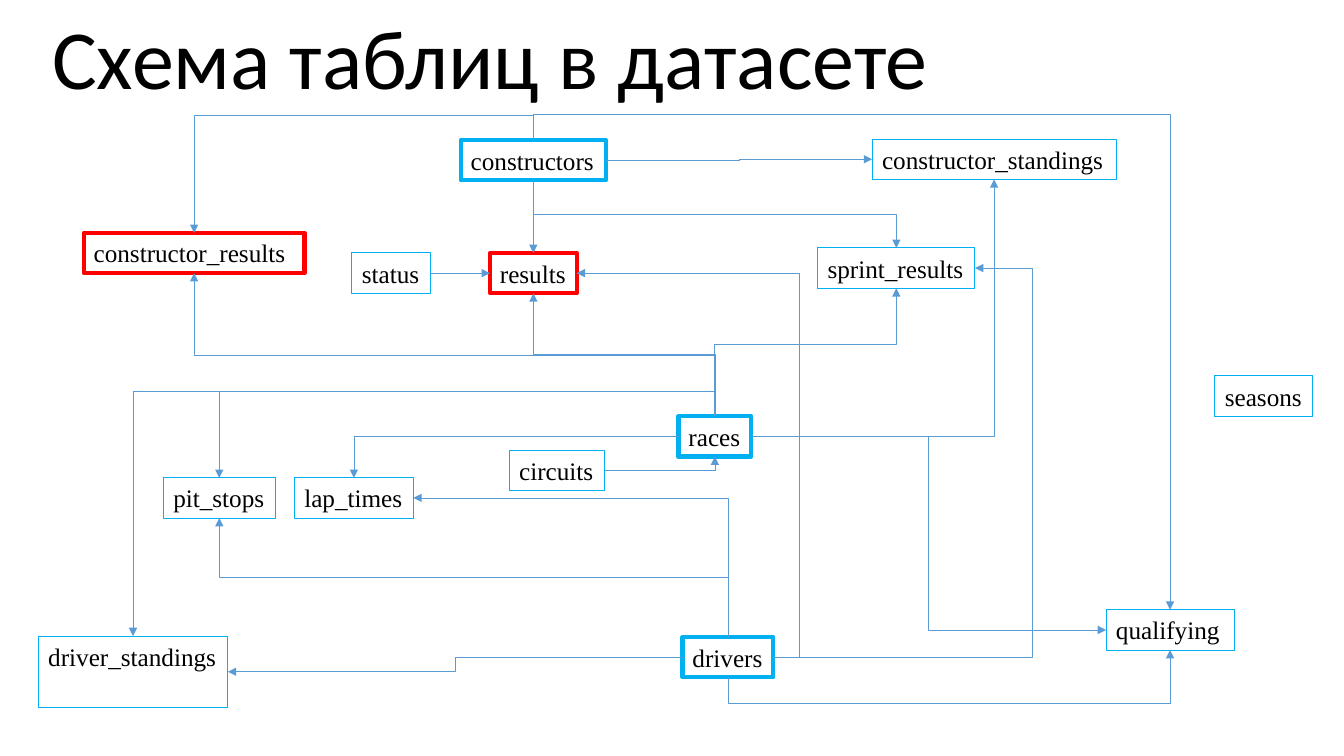
import pptx
import pptx.dml.color
import pptx.enum.shapes
import pptx.enum.text
import pptx.util
from pptx.util import Inches

COLORS = {"text": "000000", "arrow": "5B9BD5", "blue": "00B0F0", "red": "FF0000"}
TOP, LEFT, BOTTOM, RIGHT = range(4)

# Direction in which an arrow leaves each side, and the matching rotation
EXITS = {RIGHT: (1, 0, 0), BOTTOM: (0, 1, 90), LEFT: (-1, 0, 180), TOP: (0, -1, 270)}

# Table name: left, top, width, height, border colour, border width
TABLES = {
    "constructor_results": (0.83, 2.31, 2.19, 0.4, "red", 3),
    "constructor_standings": (8.65, 1.38, 2.42, 0.4, "blue", 0.75),
    "constructors": (4.57, 1.39, 1.44, 0.4, "blue", 3),
    "driver_standings": (0.38, 6.31, 1.88, 0.71, "blue", 0.75),
    "lap_times": (2.92, 4.74, 1.18, 0.4, "blue", 0.75),
    "pit_stops": (1.62, 4.74, 1.11, 0.4, "blue", 0.75),
    "qualifying": (10.97, 6.05, 1.27, 0.4, "blue", 0.75),
    "races": (6.73, 4.13, 0.72, 0.4, "blue", 3),
    "results": (4.86, 2.51, 0.86, 0.4, "red", 3),
    "seasons": (12.05, 3.73, 0.97, 0.4, "blue", 0.75),
    "status": (3.49, 2.51, 0.78, 0.4, "blue", 0.75),
    "sprint_results": (8.11, 2.46, 1.56, 0.4, "blue", 0.75),
    "circuits": (5.05, 4.47, 0.95, 0.4, "blue", 0.75),
    "drivers": (6.77, 6.32, 0.9, 0.4, "blue", 3),
}

# Arrows with one corner: from table, side, to table, side
CORNER_LINKS = [
    ("races", RIGHT, "constructor_standings", BOTTOM),
    ("races", LEFT, "lap_times", TOP),
    ("drivers", TOP, "lap_times", RIGHT),
    ("circuits", RIGHT, "races", BOTTOM),
]

# Arrows with two corners: the same, then the coordinate of the middle stretch
STEP_LINKS = [
    ("races", TOP, "constructor_results", BOTTOM, 3.53),
    ("constructors", TOP, "constructor_results", TOP, 1.14),
    ("constructors", RIGHT, "constructor_standings", LEFT, 7.33),
    ("races", TOP, "driver_standings", TOP, 3.88),
    ("drivers", LEFT, "driver_standings", RIGHT, 4.52),
    ("races", TOP, "pit_stops", TOP, 3.88),
    ("drivers", TOP, "pit_stops", BOTTOM, 5.73),
    ("constructors", TOP, "qualifying", TOP, 1.14),
    ("races", RIGHT, "qualifying", LEFT, 9.21),
    ("drivers", BOTTOM, "qualifying", BOTTOM, 6.98),
    ("drivers", RIGHT, "results", RIGHT, 7.93),
    ("races", TOP, "results", BOTTOM, 3.52),
    ("drivers", RIGHT, "sprint_results", RIGHT, 10.24),
    ("constructors", BOTTOM, "sprint_results", TOP, 2.13),
    ("races", TOP, "sprint_results", BOTTOM, 3.42),
]

STRAIGHT_LINKS = [
    ("constructors", BOTTOM, "results", TOP),
    ("status", RIGHT, "results", LEFT),
]


def rgb(name):
    return pptx.dml.color.RGBColor.from_string(COLORS[name])


def style_text(paragraph, text, font_name, size):
    paragraph.text = text
    paragraph.font.name = font_name
    paragraph.font.size = pptx.util.Pt(size)
    paragraph.font.color.rgb = rgb("text")


def add_title(slide, text):
    title = slide.shapes.add_textbox(Inches(-0.89), Inches(-0.33), Inches(11.5), Inches(1.45))
    frame = title.text_frame
    frame.word_wrap = True
    frame.vertical_anchor = pptx.enum.text.MSO_ANCHOR.BOTTOM
    heading = frame.paragraphs[0]
    style_text(heading, text, "Calibri", 60)
    heading.alignment = pptx.enum.text.PP_ALIGN.CENTER
    heading.line_spacing = 0.9


def add_table_box(slide, name):
    *bounds, color, border = TABLES[name]
    box = slide.shapes.add_shape(
        pptx.enum.shapes.MSO_SHAPE.RECTANGLE, *[Inches(length) for length in bounds])
    box.shadow.inherit = False
    box.fill.background()
    box.line.color.rgb = rgb(color)
    box.line.width = pptx.util.Pt(border)
    frame = box.text_frame
    frame.word_wrap = True
    frame.margin_right = 0
    frame.vertical_anchor = pptx.enum.text.MSO_ANCHOR.TOP
    label = frame.paragraphs[0]
    style_text(label, name, "Times New Roman", 18)
    label.alignment = pptx.enum.text.PP_ALIGN.LEFT
    return box


def side_middle(name, side):
    left, top, width, height = TABLES[name][:4]
    dx, dy, _ = EXITS[side]
    return left + width * (1 + dx) / 2, top + height * (1 + dy) / 2


def add_arrow(slide, boxes, source, exit_side, target, entry_side, kind):
    ends = [*side_middle(source, exit_side), *side_middle(target, entry_side)]
    arrow = slide.shapes.add_connector(kind, *[Inches(length) for length in ends])
    arrow.begin_connect(boxes[source], exit_side)
    arrow.end_connect(boxes[target], entry_side)
    arrow.line.color.rgb = rgb("arrow")
    arrow.line.width = pptx.util.Pt(0.5)
    outline = arrow.line._get_or_add_ln()
    outline.append(pptx.oxml.parse_xml(
        f'<a:tailEnd {pptx.oxml.ns.nsdecls("a")} type="triangle"/>'))
    arrow._element.spPr.append(pptx.oxml.parse_xml(
        f'<a:effectLst {pptx.oxml.ns.nsdecls("a")}/>'))
    return arrow


def add_bent_arrow(slide, boxes, source, exit_side, target, entry_side, bend=None):
    arrow = add_arrow(slide, boxes, source, exit_side, target, entry_side,
                      pptx.enum.shapes.MSO_CONNECTOR.ELBOW)
    start_x, start_y = side_middle(source, exit_side)
    end_x, end_y = side_middle(target, entry_side)
    dx, dy, rotation = EXITS[exit_side]

    # Travel along the exit direction, and across it (a quarter turn clockwise)
    along = (end_x - start_x) * dx + (end_y - start_y) * dy
    across = (end_y - start_y) * dx - (end_x - start_x) * dy
    width, height = abs(along), abs(across)
    arrow.left = Inches((start_x + end_x - width) / 2)
    arrow.top = Inches((start_y + end_y - height) / 2)
    arrow.width, arrow.height = Inches(width), Inches(height)
    frame = arrow._element.spPr.xfrm
    frame.set("rot", str(rotation * 60000))
    frame.set("flipH", str(int(along < 0)))
    frame.set("flipV", str(int(across < 0)))

    # One corner, or two with the middle stretch at bend
    geometry = arrow._element.spPr.prstGeom
    if bend is None:
        geometry.set("prst", "bentConnector2")
    else:
        reach = (bend - start_x) * dx if dx else (bend - start_y) * dy
        geometry.avLst.append(pptx.oxml.parse_xml(
            f'<a:gd {pptx.oxml.ns.nsdecls("a")} name="adj1" '
            f'fmla="val {round(reach / along * 100000)}"/>'))


def main():
    deck = pptx.Presentation()
    deck.slide_width, deck.slide_height = Inches(13.33), Inches(7.5)
    slide = deck.slides.add_slide(deck.slide_layouts[6])

    # Tables
    boxes = {name: add_table_box(slide, name) for name in TABLES}

    # Relations
    for link in CORNER_LINKS + STEP_LINKS:
        add_bent_arrow(slide, boxes, *link)
    for link in STRAIGHT_LINKS:
        add_arrow(slide, boxes, *link, pptx.enum.shapes.MSO_CONNECTOR.STRAIGHT)

    add_title(slide, "Схема таблиц в датасете")
    deck.save("out.pptx")


if __name__ == "__main__":
    main()
